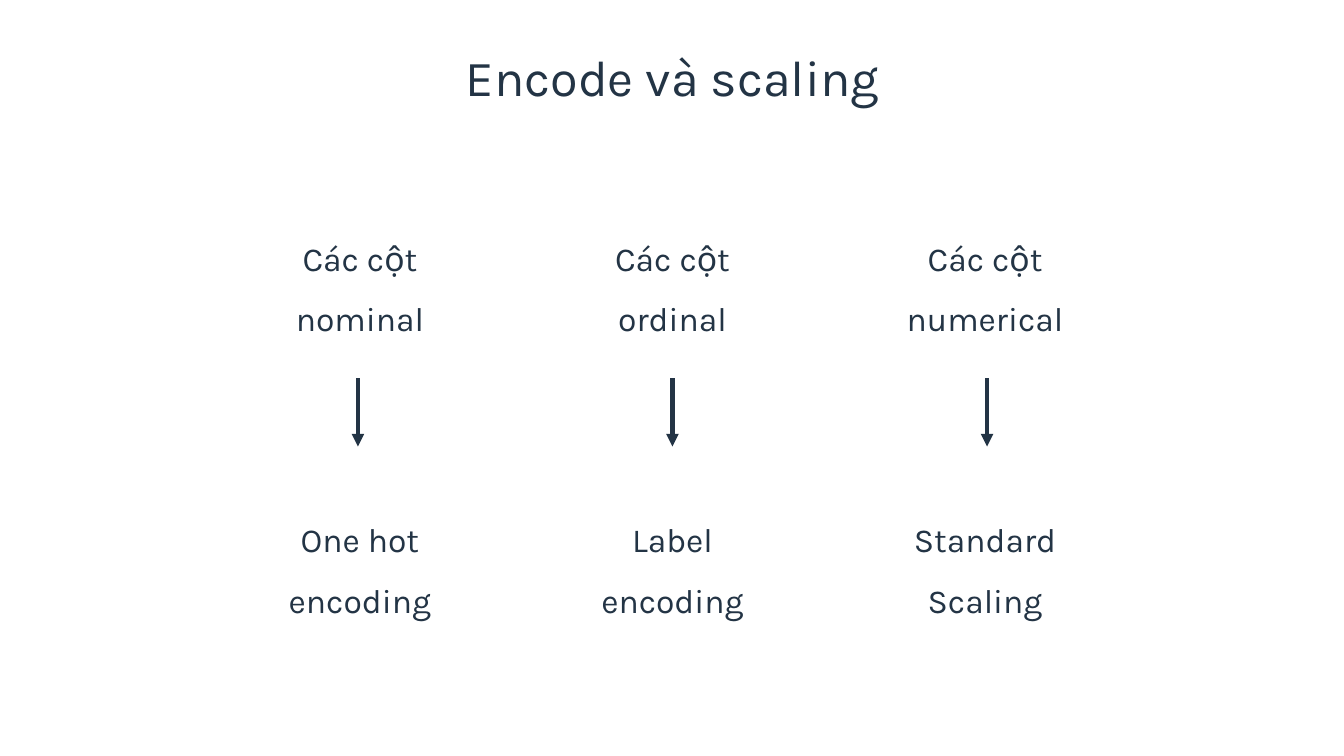
from dataclasses import dataclass

import lxml.etree
import pptx
import pptx.dml.color
import pptx.enum.shapes
import pptx.enum.text
import pptx.oxml.ns
import pptx.slide
import pptx.text.text
import pptx.util
from pptx.util import Inches

COLOURS = {"ink": "233445", "background": "FFFFFF"}
FONT = "Karla"
SLIDE_CENTRE = 6.67
TEXT_PITCH = 3.1
ARROW_PITCH = 3.12
BOX_WIDTH, BOX_HEIGHT = 2.4, 1.25
COLUMNS_TOP, METHOD_TOP = 2.11, 4.9
ARROW_TOP, ARROW_BOTTOM = 3.75, 4.43


@dataclass(frozen=True)
class Treatment:
    columns: str
    method: tuple[str, ...]


TREATMENTS = (
    Treatment("Các cột nominal", ("One hot encoding",)),
    Treatment("Các cột ordinal", ("Label encoding",)),
    Treatment("Các cột numerical", ("Standard", "Scaling")),
)


def colour(name: str) -> pptx.dml.color.RGBColor:
    return pptx.dml.color.RGBColor.from_string(COLOURS[name])


def add_span(para: pptx.text.text._Paragraph, text: str, size: int) -> None:
    para.alignment = pptx.enum.text.PP_ALIGN.CENTER
    span = para.add_run()
    span.text = text
    span.font.name = FONT
    span.font.size = pptx.util.Pt(size)
    span.font.color.rgb = colour("ink")


def add_title(page: pptx.slide.Slide, text: str) -> None:
    title = page.shapes.title
    title.left, title.top = Inches(3.04), Inches(0.46)
    title.width, title.height = Inches(7.26), Inches(0.59)
    frame = title.text_frame
    frame.auto_size = pptx.enum.text.MSO_AUTO_SIZE.NONE
    frame.vertical_anchor = pptx.enum.text.MSO_ANCHOR.MIDDLE
    frame.margin_left = frame.margin_right = Inches(0.1)
    frame.margin_top = frame.margin_bottom = Inches(0.1)
    add_span(frame.paragraphs[0], text, 36)


def add_label(page: pptx.slide.Slide, centre: float, top: float, lines: tuple[str, ...]) -> None:
    box = page.shapes.add_textbox(
        Inches(centre - BOX_WIDTH / 2), Inches(top), Inches(BOX_WIDTH), Inches(BOX_HEIGHT)
    )
    frame = box.text_frame
    frame.word_wrap = True
    frame.auto_size = pptx.enum.text.MSO_AUTO_SIZE.SHAPE_TO_FIT_TEXT
    for index, line in enumerate(lines):
        para = frame.add_paragraph() if index else frame.paragraphs[0]
        para.line_spacing = 1.5
        add_span(para, line, 24)


def add_arrow(page: pptx.slide.Slide, centre: float) -> None:
    arrow = page.shapes.add_connector(
        pptx.enum.shapes.MSO_CONNECTOR.STRAIGHT,
        Inches(centre), Inches(ARROW_TOP), Inches(centre), Inches(ARROW_BOTTOM),
    )
    arrow.line.color.rgb = colour("ink")
    arrow.line.width = pptx.util.Pt(3)
    qn = pptx.oxml.ns.qn
    lxml.etree.SubElement(arrow.line._get_or_add_ln(), qn("a:tailEnd"), type="triangle")
    lxml.etree.SubElement(arrow._element.spPr, qn("a:effectLst"))


def main() -> None:
    deck = pptx.Presentation()
    deck.slide_width, deck.slide_height = Inches(13.33), Inches(7.5)
    page = deck.slides.add_slide(deck.slide_layouts.get_by_name("Title Only"))
    page.background.fill.solid()
    page.background.fill.fore_color.rgb = colour("background")

    add_title(page, "Encode và scaling")
    for position, treatment in enumerate(TREATMENTS, start=-1):
        text_centre = SLIDE_CENTRE + position * TEXT_PITCH
        add_label(page, text_centre, COLUMNS_TOP, (treatment.columns,))
        add_label(page, text_centre, METHOD_TOP, treatment.method)
        add_arrow(page, SLIDE_CENTRE + position * ARROW_PITCH)
    deck.save("out.pptx")


if __name__ == "__main__":
    main()
